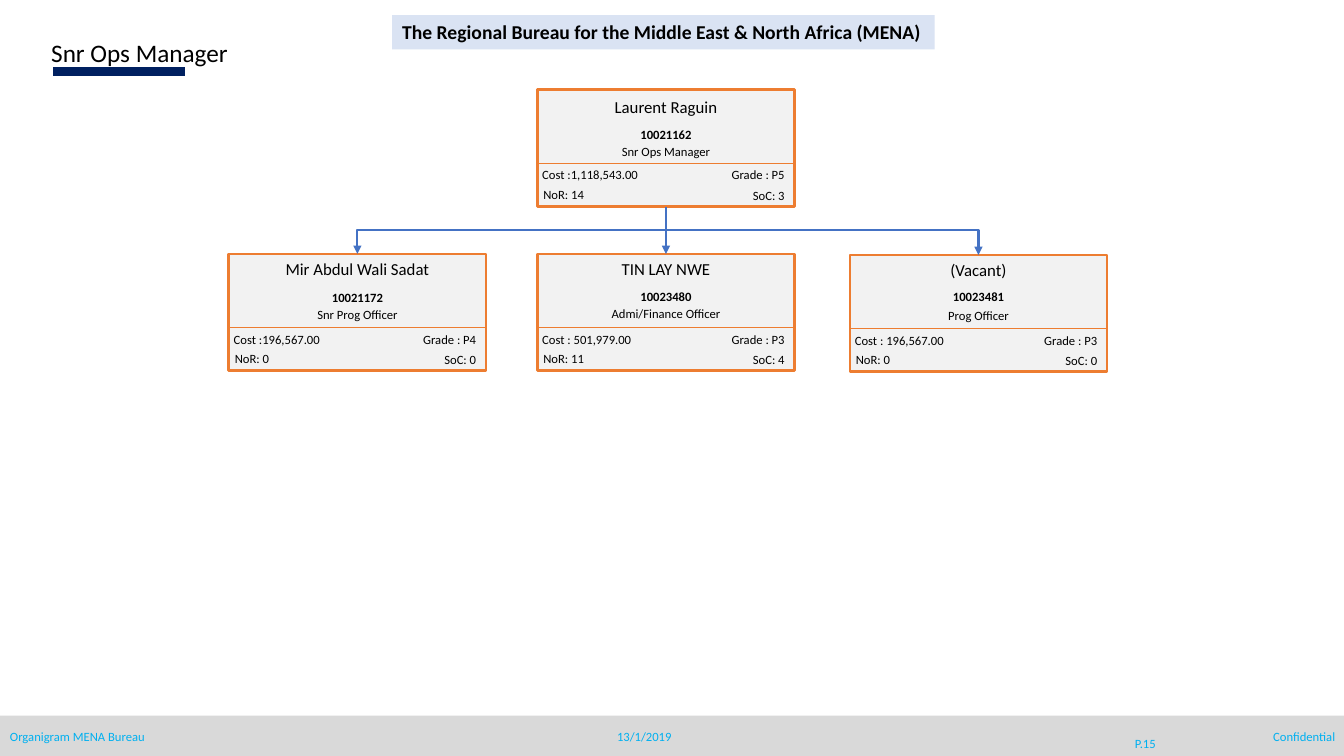
import pptx
import pptx.util
import pptx.dml.color
import pptx.enum.shapes
import pptx.enum.text
from lxml import etree
from pptx.oxml.ns import qn

Inches = pptx.util.Inches
Align = pptx.enum.text.PP_ALIGN
Anchor = pptx.enum.text.MSO_ANCHOR
Connector = pptx.enum.shapes.MSO_CONNECTOR

COLOURS = {
    "text": "000000", "navy": "002060", "footer": "D9D9D9", "footer_text": "00B0F0",
    "card": "F2F2F2", "card_line": "ED7D31", "arrow": "4472C4", "banner": "DAE3F3",
}
CARD_WIDTH, CARD_HEIGHT = 2.55, 1.16

# Left, top, offsets of the three heading rows, headings, then the four figures
MANAGER = (5.33, 0.89, (0.02, 0.32, 0.49), ("Laurent Raguin", "10021162", "Snr Ops Manager"),
           ("Cost :1,118,543.00", "Grade : P5", "NoR: 14", "SoC: 3"))
REPORTS = [
    (2.27, 2.52, (0, 0.31, 0.48), ("Mir Abdul Wali Sadat", "10021172", "Snr Prog Officer"),
     ("Cost :196,567.00", "Grade : P4", "NoR: 0", "SoC: 0")),
    (5.33, 2.52, (0, 0.3, 0.47), ("TIN LAY NWE", "10023480", "Admi/Finance Officer"),
     ("Cost : 501,979.00", "Grade : P3", "NoR: 11", "SoC: 4")),
    (8.43, 2.53, (0, 0.29, 0.48), ("(Vacant)", "10023481", "Prog Officer"),
     ("Cost : 196,567.00", "Grade : P3", "NoR: 0", "SoC: 0")),
]


def colour(name):
    return pptx.dml.color.RGBColor.from_string(COLOURS[name])


def write(shape, text, size=9, bold=False, ink="text", align=Align.LEFT,
          anchor=Anchor.TOP, wrap=True):
    frame = shape.text_frame
    frame_format = {"word_wrap": wrap, "vertical_anchor": anchor,
                    "auto_size": pptx.enum.text.MSO_AUTO_SIZE.SHAPE_TO_FIT_TEXT}
    for key, value in frame_format.items():
        setattr(frame, key, value)
    para = frame.paragraphs[0]
    para.alignment = align
    span = para.add_run()
    span.text = text
    font_format = {"name": "Calibri", "size": pptx.util.Pt(size), "bold": bold}
    for key, value in font_format.items():
        setattr(span.font, key, value)
    span.font.color.rgb = colour(ink)


def add_text(page, left, top, width, height, text, **text_format):
    box = page.shapes.add_textbox(Inches(left), Inches(top), Inches(width), Inches(height))
    write(box, text, **text_format)


def add_rectangle(page, left, top, width, height, fill, line=None):
    shape = page.shapes.add_shape(pptx.enum.shapes.MSO_SHAPE.RECTANGLE, Inches(left),
                                  Inches(top), Inches(width), Inches(height))
    shape.shadow.inherit = False
    shape.fill.solid()
    shape.fill.fore_color.rgb = colour(fill)
    if line:
        shape.line.color.rgb = colour(line)
        shape.line.width = pptx.util.Pt(2)
    else:
        shape.line.fill.background()
    return shape


def add_line(page, start, end, ink, width, bent=False, arrow=False):
    line = page.shapes.add_connector(Connector.ELBOW if bent else Connector.STRAIGHT,
                                     *map(Inches, start + end))
    line.line.color.rgb = colour(ink)
    line.line.width = pptx.util.Pt(width)
    properties = line._element.spPr
    if bent:  # one corner only: across, then down
        properties.find(qn("a:prstGeom")).set("prst", "bentConnector2")
    if arrow:
        etree.SubElement(properties.find(qn("a:ln")), qn("a:tailEnd"), type="triangle")
    etree.SubElement(properties, qn("a:effectLst"))
    return line


def add_card(page, left, top, offsets, headings, figures):
    card = add_rectangle(page, left, top, CARD_WIDTH, CARD_HEIGHT, "card", "card_line")
    styles = [(12, False, 0.3), (9, True, 0.25), (9, False, 0.25)]
    for text, offset, (size, bold, height) in zip(headings, offsets, styles):
        add_text(page, left, top + offset, CARD_WIDTH, height, text,
                 size=size, bold=bold, align=Align.CENTER)
    add_line(page, (left, top + 0.73), (left + CARD_WIDTH, top + 0.73), "card_line", 1)
    places = [(-0.05, 0.72, 1.23, Align.LEFT), (1.33, 0.72, 1.22, Align.RIGHT),
              (-0.04, 0.91, 0.79, Align.LEFT), (1.53, 0.92, 1.02, Align.RIGHT)]
    for text, (across, down, width, align) in zip(figures, places):
        add_text(page, left + across, top + down, width, 0.25, text, align=align)
    return card


def add_footer(page):
    add_rectangle(page, 0, 7.1, 13.33, 0.4, "footer")
    items = [
        (0, 3.08, 0.25, "Organigram MENA Bureau", Align.LEFT, Anchor.TOP),
        (5.95, 0.88, 0.25, "13/1/2019", Align.CENTER, Anchor.MIDDLE),
        (10.96, 0.8, 0.4, "P.15", Align.CENTER, Anchor.MIDDLE),
        (10.26, 3.08, 0.25, "Confidential", Align.RIGHT, Anchor.TOP),
    ]
    for left, width, height, text, align, anchor in items:
        add_text(page, left, 7.18, width, height, text, ink="footer_text",
                 align=align, anchor=anchor)


def main():
    deck = pptx.Presentation()
    deck.slide_width, deck.slide_height = Inches(13.33), Inches(7.5)
    page = deck.slides.add_slide(deck.slide_layouts[6])

    # Heading, banner and footer
    add_line(page, (0.53, 0.71), (1.84, 0.71), "navy", 7)
    add_text(page, 0.41, 0.32, 5.3, 0.41, "Snr Ops Manager", size=18)
    banner = add_rectangle(page, 3.89, 0.15, 5.38, 0.34, "banner")
    write(banner, "The Regional Bureau for the Middle East & North Africa (MENA)",
          size=14, bold=True, wrap=False)
    add_footer(page)

    # Organisation chart
    manager = add_card(page, *MANAGER)
    cards = [add_card(page, *report) for report in REPORTS]

    # Reporting lines: a straight trunk and an elbow to each side
    trunk = MANAGER[0] + CARD_WIDTH / 2
    for report, card in zip(REPORTS, cards):
        end = (report[0] + CARD_WIDTH / 2, report[1])
        if report[0] == MANAGER[0]:
            line = add_line(page, (trunk, MANAGER[1] + CARD_HEIGHT), end,
                            "arrow", 1.5, arrow=True)
            line.begin_connect(manager, 2)
            line.end_connect(card, 0)
        else:
            add_line(page, (trunk, 2.28), end, "arrow", 1.5, bent=True, arrow=True)

    deck.save("out.pptx")


if __name__ == "__main__":
    main()
